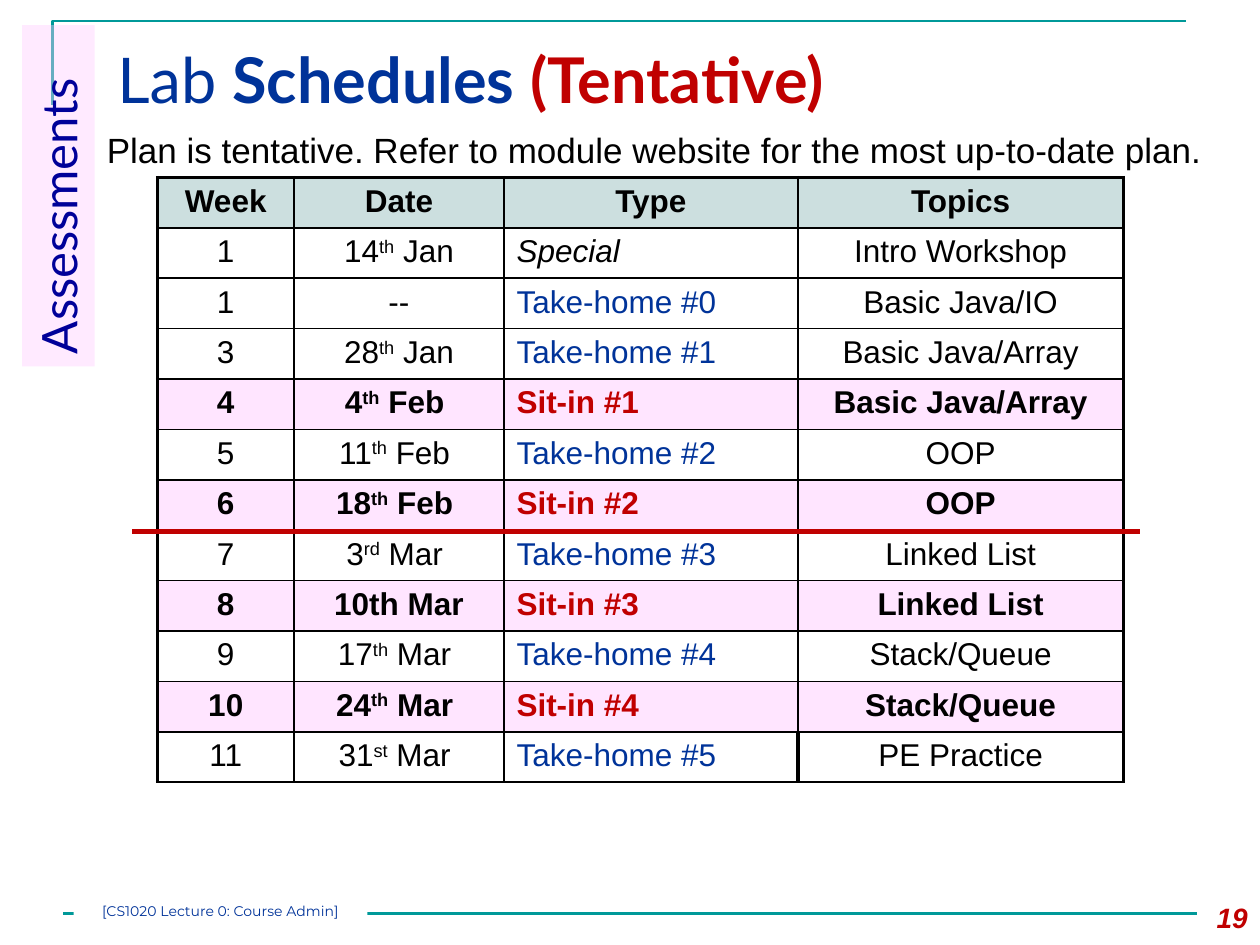
from lxml import etree
from pptx import Presentation, util as u
from pptx.dml.color import RGBColor
from pptx.enum import shapes, text
from pptx.oxml.ns import qn

BLACK, BLUE, RED, TEAL, PINK = "000000", "003399", "C00000", "009999", "FFE5FF"
LEFT, CENTER, RIGHT = text.PP_ALIGN.LEFT, text.PP_ALIGN.CENTER, text.PP_ALIGN.RIGHT
MIDDLE, TOP = text.MSO_ANCHOR.MIDDLE, text.MSO_ANCHOR.TOP
G = u.Inches(1) / 12  # grid of 120 columns by 90 rows


def paint(color, value):
    """Set a fill, line or font colour from a hex string."""
    if hasattr(color, "solid"):
        color.solid()
        color = color.fore_color
    else:
        color = color.color
    color.rgb = RGBColor.from_string(value)


def write(p, words, size=18, font="Arial", color=BLACK, bold=False, italic=False, align=LEFT):
    """Append text to a paragraph; parts between carets are superscript."""
    p.alignment = align
    for i, part in enumerate(words.split("^")):
        r = p.add_run()
        r.text = part
        r.font.size, r.font.name = u.Pt(size), font
        r.font.bold, r.font.italic = bold, italic
        paint(r.font, color)
        if i % 2:
            r._r.get_or_add_rPr().set("baseline", "30000")


prs = Presentation()
prs.slide_width, prs.slide_height = int(120 * G), int(90 * G)
s = prs.slides.add_slide(prs.slide_layouts[6])

# Corner rule
corner = s.shapes.build_freeform(5, 10, scale=G)
corner.add_line_segments([(5, 2), (113, 2)], close=False)
sp = corner.convert_to_shape()
sp.shadow.inherit = False
sp.fill.background()
paint(sp.line, TEAL)
sp.line.width = u.Pt(1.5)

# Footer rule, and the mid-term divider that goes over the table
rules = []
for x1, x2, y, color, width in [(6, 114, 87, TEAL, 1.5), (12.6, 108.6, 50.65, RED, 3)]:
    sp = s.shapes.add_connector(shapes.MSO_CONNECTOR.STRAIGHT,
                                int(x1 * G), int(y * G), int(x2 * G), int(y * G))
    paint(sp.line, color)
    sp.line.width = u.Pt(width)
    etree.SubElement(sp._element.spPr, qn("a:effectLst"))
    rules.append(sp)

# Schedule table
header = ("Week", "Date", "Type", "Topics")
schedule = [
    ("1", "14^th^ Jan", "Special", "Intro Workshop"),
    ("1", "--", "Take-home #0", "Basic Java/IO"),
    ("3", "28^th^ Jan", "Take-home #1", "Basic Java/Array"),
    ("4", "4^th^ Feb ", "Sit-in #1", "Basic Java/Array"),
    ("5", "11^th^ Feb ", "Take-home #2", "OOP"),
    ("6", "18^th^ Feb ", "Sit-in #2", "OOP"),
    ("7", "3^rd^ Mar ", "Take-home #3", "Linked List"),
    ("8", "10th Mar", "Sit-in #3", "Linked List"),
    ("9", "17^th^ Mar ", "Take-home #4", "Stack/Queue"),
    ("10", "24^th^ Mar ", "Sit-in #4", "Stack/Queue"),
    ("11", "31^st^ Mar ", "Take-home #5", "PE Practice"),
]
rows = [header] + schedule
last_row, last_col = len(schedule), len(header) - 1
frame = s.shapes.add_table(len(rows), len(header), int(15 * G), int(16.9 * G),
                           int(92 * G), int(57.7 * G))
table = frame.table
table.first_row = table.horz_banding = False
for column, width in zip(table.columns, (13, 20, 28, 31)):
    column.width = int(width * G)
for row in table.rows:
    row.height = int(4.8 * G)

for i, values in enumerate(rows):
    sit_in = values[2].startswith("Sit-in")
    for j, value in enumerate(values):
        cell = table.cell(i, j)
        color, align = BLACK, CENTER
        if i and j == 2:
            align = LEFT
            color = RED if sit_in else BLUE if value.startswith("Take") else BLACK
        write(cell.text_frame.paragraphs[0], value, color=color, align=align,
              bold=sit_in or i == 0, italic=value == "Special")

        # Borders: thick outside, and before the last topic
        tcPr = cell._tc.get_or_add_tcPr()
        thick = {"lnL": j == 0 or (i == last_row and j == last_col),
                 "lnR": j == last_col or (i == last_row and j == last_col - 1),
                 "lnT": i == 0, "lnB": False}
        for side, is_thick in thick.items():
            ln = etree.SubElement(tcPr, qn("a:" + side), w=str(u.Pt(2.25 if is_thick else 1)))
            fill = etree.SubElement(ln, qn("a:solidFill"))
            etree.SubElement(fill, qn("a:srgbClr"), val=BLACK)

        if i == 0 or sit_in:
            paint(cell.fill, PINK if sit_in else "CCDFDF")
        else:
            cell.fill.background()

# Bring the divider in front of the table
frame._element.addnext(rules[1]._element)

# Text boxes: left, top, width, height, anchor, alignment, runs
boxes = [
    (10, 3, 104, 9, MIDDLE, LEFT,
     [("Lab ", dict(size=36, font="Lato", color=BLUE)),
      ("Schedules ", dict(size=36, font="Lato", color=BLUE, bold=True)),
      ("(Tentative)", dict(size=36, font="Lato", color=RED, bold=True))]),
    (113, 85.2, 7, 4.8, TOP, RIGHT,
     [("19", dict(size=16, color=RED, bold=True, italic=True))]),
    (9, 11.65, 107, 5.25, TOP, LEFT,
     [("Plan is tentative. Refer to module website for the most up-to-date plan.",
       dict(size=20))]),
]
for x, y, w, h, anchor, align, runs in boxes:
    tf = s.shapes.add_textbox(int(x * G), int(y * G), int(w * G), int(h * G)).text_frame
    tf.word_wrap, tf.vertical_anchor = True, anchor
    for words, style in runs:
        write(tf.paragraphs[0], words, align=align, **style)

# Section tab on the left edge, and the footer label over its rule
labels = [
    (-10.7, 15.2, 32.5, 6.9, 270, "FFCCFF", "Assessments",
     dict(size=28, font="Lato", color="000099")),
    (7, 86, 28, 2, 0, "FFFFFF", "[CS1020 Lecture 0: Course Admin]",
     dict(size=8, font="Montserrat", color=BLUE, align=CENTER)),
]
for x, y, w, h, turn, fill, words, style in labels:
    sp = s.shapes.add_shape(shapes.MSO_SHAPE.RECTANGLE,
                            int(x * G), int(y * G), int(w * G), int(h * G))
    sp.rotation = turn
    sp.shadow.inherit = False
    sp.line.fill.background()
    paint(sp.fill, fill)
    tf = sp.text_frame
    tf.word_wrap, tf.vertical_anchor = True, TOP
    if turn:  # the tab is see-through
        rgb = sp._element.spPr.find(".//" + qn("a:srgbClr"))
        etree.SubElement(rgb, qn("a:alpha"), val="40000")
    else:
        tf.margin_left = tf.margin_right = tf.margin_top = tf.margin_bottom = 0
    write(tf.paragraphs[0], words, **style)

prs.save("out.pptx")
